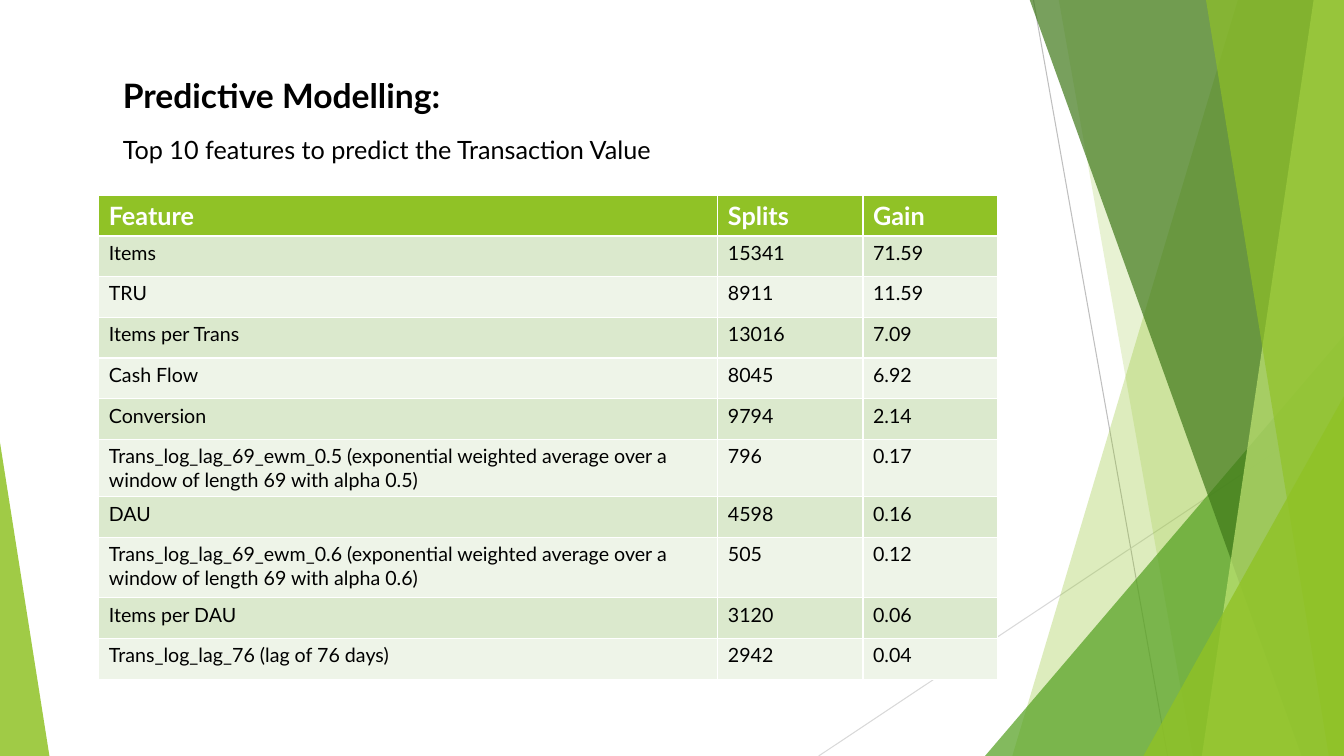
from dataclasses import dataclass

from pptx import Presentation
from pptx.dml.color import RGBColor
from pptx.enum.shapes import MSO_CONNECTOR, MSO_SHAPE
from pptx.enum.text import MSO_AUTO_SIZE
from pptx.oxml.ns import qn
from pptx.util import Inches, Pt
from lxml.etree import SubElement

WIDTH, HEIGHT = 13.33, 7.5
TOP = -0.01
GREEN, BLACK, WHITE = "90C226", "000000", "FFFFFF"
BANDS = ("DBE9CD", "EEF4E8")

COLUMN_WIDTHS = (6.14, 1.44, 1.33)
TABLE_HEIGHT = 4.8
HEADER_HEIGHT = 0.4
TALL_ROWS = {6: 0.57, 8: 0.6}


@dataclass(frozen=True)
class Ray:
    start: tuple[float, float]
    end: tuple[float, float]
    color: str


@dataclass(frozen=True)
class Blade:
    top_left: float
    bottom_left: float
    color: str
    opacity: int


@dataclass(frozen=True)
class Wedge:
    left: float
    top: float
    width: float
    apex: float
    color: str
    opacity: int


@dataclass(frozen=True)
class Feature:
    name: str
    splits: str
    gain: str


DECORATION = (
    Ray((10.25, 0), (11.58, HEIGHT), "BFBFBF"),
    Ray((WIDTH, 4.03), (8.12, HEIGHT), "D9D9D9"),
    Blade(12.28, 10.04, GREEN, 30),
    Blade(10.5, 11.83, GREEN, 20),
    Wedge(9.77, 3.33, 3.56, 1, "54A021", 72),
    Blade(10.21, 12.91, "3F7819", 70),
    Blade(13.03, 11.92, "C0E474", 70),
    Blade(11.96, 13.18, GREEN, 65),
    Wedge(11.34, 3.93, 1.99, 1, GREEN, 80),
    Wedge(0, 4.39, 0.49, 0, GREEN, 85),
)

HEADER = Feature("Feature", "Splits", "Gain")
EWM = "Trans_log_lag_69_ewm_{0} (exponential weighted average over a window of length 69 with alpha {0})"
FEATURES = (
    Feature("Items", "15341", "71.59"),
    Feature("TRU", "8911", "11.59"),
    Feature("Items per Trans", "13016", "7.09"),
    Feature("Cash Flow", "8045", "6.92"),
    Feature("Conversion", "9794", "2.14"),
    Feature(EWM.format("0.5"), "796", "0.17"),
    Feature("DAU", "4598", "0.16"),
    Feature(EWM.format("0.6"), "505", "0.12"),
    Feature("Items per DAU", "3120", "0.06"),
    Feature("Trans_log_lag_76 (lag of 76 days)", "2942", "0.04"),
)


def rgb(color: str) -> RGBColor:
    return RGBColor.from_string(color)


def write(frame, text: str, *, size: float, color: str = BLACK, bold: bool = False) -> None:
    span = frame.paragraphs[0].add_run()
    span.text = text
    span.font.name = "Lato"
    span.font.size = Pt(size)
    span.font.bold = bold
    span.font.color.rgb = rgb(color)


def paint(shape, color: str, opacity: int) -> None:
    shape.shadow.inherit = False
    shape.line.fill.background()
    shape.fill.solid()
    shape.fill.fore_color.rgb = rgb(color)
    tint = shape.fill._xPr.find(qn("a:solidFill"))[0]
    SubElement(tint, qn("a:alpha")).set("val", str(opacity * 1000))


def draw_ray(page, ray: Ray) -> None:
    points = (Inches(value) for value in (*ray.start, *ray.end))
    line = page.shapes.add_connector(MSO_CONNECTOR.STRAIGHT, *points)
    line.line.color.rgb = rgb(ray.color)
    line.line.width = Pt(0.75)
    SubElement(line._element.spPr, qn("a:effectLst"))


def draw_blade(page, blade: Blade) -> None:
    corners = ((WIDTH, TOP), (WIDTH, HEIGHT), (blade.bottom_left, HEIGHT))
    builder = page.shapes.build_freeform(Inches(blade.top_left), Inches(TOP))
    builder.add_line_segments([(Inches(x), Inches(y)) for x, y in corners], close=True)
    paint(builder.convert_to_shape(), blade.color, blade.opacity)


def draw_wedge(page, wedge: Wedge) -> None:
    triangle = page.shapes.add_shape(
        MSO_SHAPE.ISOSCELES_TRIANGLE, Inches(wedge.left), Inches(wedge.top),
        Inches(wedge.width), Inches(HEIGHT - wedge.top))
    triangle.adjustments[0] = wedge.apex
    paint(triangle, wedge.color, wedge.opacity)


def draw_heading(page, text: str, top: float, width: float, height: float,
                 *, size: float, bold: bool = False) -> None:
    box = page.shapes.add_textbox(Inches(1.12), Inches(top), Inches(width), Inches(height))
    box.text_frame.word_wrap = True
    box.text_frame.auto_size = MSO_AUTO_SIZE.SHAPE_TO_FIT_TEXT
    write(box.text_frame, text, size=size, bold=bold)


def draw_table(page) -> None:
    entries = (HEADER, *FEATURES)
    table = page.shapes.add_table(
        len(entries), len(COLUMN_WIDTHS), Inches(0.98), Inches(1.94),
        Inches(sum(COLUMN_WIDTHS)), Inches(TABLE_HEIGHT)).table
    for column, width in zip(table.columns, COLUMN_WIDTHS):
        column.width = Inches(width)

    regular_count = len(FEATURES) - len(TALL_ROWS)
    regular = (TABLE_HEIGHT - HEADER_HEIGHT - sum(TALL_ROWS.values())) / regular_count
    for index, entry in enumerate(entries):
        is_header = index == 0
        height = HEADER_HEIGHT if is_header else TALL_ROWS.get(index, regular)
        table.rows[index].height = Inches(height)
        for column, text in enumerate((entry.name, entry.splits, entry.gain)):
            cell = table.cell(index, column)
            cell.fill.solid()
            cell.fill.fore_color.rgb = rgb(GREEN if is_header else BANDS[(index - 1) % 2])
            write(cell.text_frame, text, size=18 if is_header else 14,
                  color=WHITE if is_header else BLACK, bold=is_header)


def main() -> None:
    deck = Presentation()
    deck.slide_width, deck.slide_height = Inches(WIDTH), Inches(HEIGHT)
    page = deck.slides.add_slide(deck.slide_layouts[6])
    painters = {Ray: draw_ray, Blade: draw_blade, Wedge: draw_wedge}
    for item in DECORATION:
        painters[type(item)](page, item)
    draw_heading(page, "Predictive Modelling:", 0.69, 8.43, 0.5, size=24, bold=True)
    draw_heading(page, "Top 10 features to predict the Transaction Value", 1.28, 8.64, 0.4, size=18)
    draw_table(page)
    deck.save("out.pptx")


if __name__ == "__main__":
    main()
